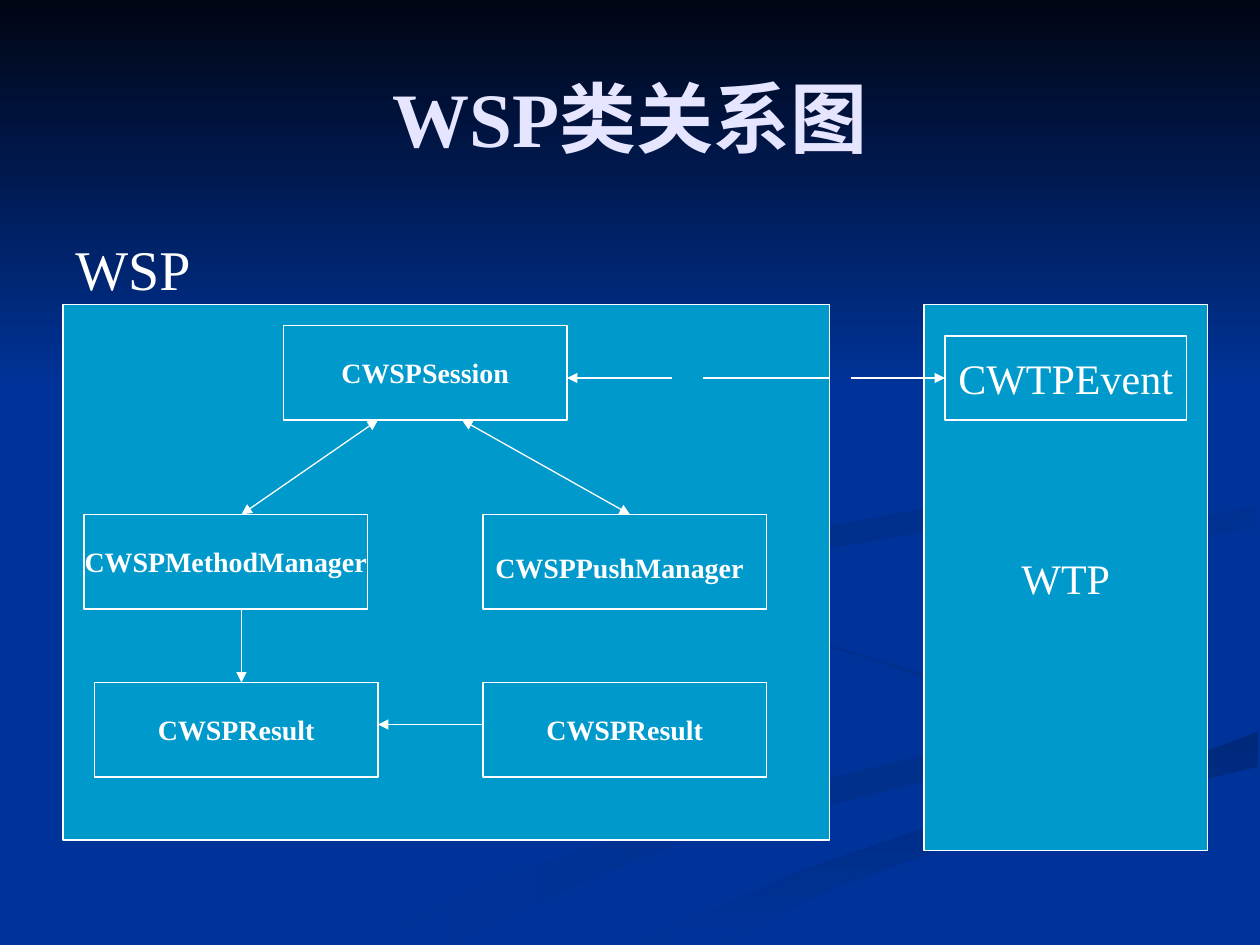
from pptx import Presentation
from pptx import util as u
from pptx.dml.color import RGBColor
from pptx.enum import shapes, text
from pptx.oxml.ns import qn
from lxml import etree

Pt = u.Pt
FONT = "Times New Roman"
WHITE, BLUE, CYAN = "FFFFFF", "003399", "0099CC"
rgb = RGBColor.from_string


def set_text(sp, txt, size=16, bold=True, color=WHITE, align=text.PP_ALIGN.CENTER,
             anchor=text.MSO_ANCHOR.MIDDLE, wrap=False):
    tf = sp.text_frame
    tf.word_wrap = wrap
    tf.vertical_anchor = anchor
    p = tf.paragraphs[0]
    p.alignment = align
    r = p.add_run()
    r.text = txt
    r.font.name, r.font.size, r.font.bold = FONT, Pt(size), bold
    r.font.color.rgb = rgb(color)


def set_gradient(sp, start, end, angle):
    """Fill without outline; angle runs clockwise from left-to-right."""
    sp.shadow.inherit = False
    sp.line.fill.background()
    sp.fill.gradient()
    sp.fill.gradient_angle = (360 - angle) % 360
    for stop, color in zip(sp.fill.gradient_stops, (start, end)):
        stop.color.rgb = rgb(color)


prs = Presentation()
prs.slide_width, prs.slide_height = Pt(720), Pt(540)
s = prs.slides.add_slide(prs.slide_layouts[6])
s.background.fill.solid()
s.background.fill.fore_color.rgb = rgb(BLUE)

# Background ribbons: start colour, end colour, angle, outline
ribbons = [
    ("002E8A", BLUE, 180, [
        (562, 398), (535, 387), (491, 374), (451, 361), (423, 346), (414, 330),
        (411, 337), (422, 351), (454, 364), (502, 378), (541, 392), (559, 400),
        (565, 405), (564, 413), (552, 423), (523, 433), (469, 446), (388, 467),
        (300, 497), (243, 523), (216, 539), (260, 539), (310, 514), (383, 483),
        (449, 466), (533, 445), (566, 433), (576, 418), (573, 408)]),
    ("00297C", BLUE, 90, [
        (374, 538), (362, 539), (411, 539), (442, 523), (482, 505), (541, 484),
        (620, 461), (719, 438), (719, 418), (693, 428), (650, 439), (550, 466),
        (454, 499), (391, 528)]),
    (BLUE, "002C85", 225, [
        (562, 331), (563, 338), (574, 348), (595, 357), (580, 345), (582, 335),
        (607, 323), (645, 313), (719, 302), (719, 289), (671, 298), (623, 305),
        (583, 315), (566, 326)]),
    (BLUE, "002B81", 225, [
        (492, 310), (550, 300), (594, 289), (624, 276), (640, 261), (643, 241),
        (634, 221), (607, 198), (575, 180), (549, 168), (594, 192), (625, 215),
        (639, 236), (638, 251), (626, 263), (598, 275), (549, 287), (467, 302),
        (430, 315), (416, 328), (416, 337), (425, 348), (448, 360), (430, 346),
        (428, 333), (442, 323), (467, 314)]),
]
for start, end, angle, pts in ribbons:
    fb = s.shapes.build_freeform(*pts[0], scale=Pt(1))
    fb.add_line_segments(pts[1:], close=True)
    set_gradient(fb.convert_to_shape(), start, end, angle)

sky = s.shapes.add_shape(shapes.MSO_SHAPE.RECTANGLE, 0, 0, Pt(720), Pt(222))
set_gradient(sky, "000514", BLUE, 90)

title = s.shapes.add_textbox(Pt(36), Pt(21.6), Pt(648), Pt(90))
set_text(title, "WSP类关系图", size=44, color="E5E5FF", wrap=True)

label = s.shapes.add_textbox(Pt(36), Pt(126), Pt(648), Pt(356))
set_text(label, "WSP", size=32, bold=False, align=text.PP_ALIGN.LEFT,
         anchor=text.MSO_ANCHOR.TOP, wrap=True)
label.text_frame.margin_top = Pt(8)

# Frames and class boxes: left, top, width, height, text, text format
W, H = 162, 54
big = dict(size=24, bold=False)
boxes = [
    (36, 174, 438, 306, "", {}),
    (162, 186, W, H, "CWSPSession", {}),
    (48, 294, W, H, "CWSPMethodManager", {}),
    (276, 294, W, H, "CWSPPushManager", {}),
    (54, 390, W, H, "CWSPResult", {}),
    (276, 390, W, H, "CWSPResult", {}),
    (528, 174, W, 312, "WTP", big),
    (540, 192, 138, 48, "CWTPEvent", big),
]
for x, y, w, h, txt, fmt in boxes:
    sp = s.shapes.add_shape(shapes.MSO_SHAPE.RECTANGLE, Pt(x), Pt(y), Pt(w), Pt(h))
    sp.shadow.inherit = False
    sp.fill.solid()
    sp.fill.fore_color.rgb = rgb(CYAN)
    sp.line.color.rgb = rgb(WHITE)
    sp.line.width = Pt(0.75)
    if txt:
        set_text(sp, txt, **fmt)
    if txt == "CWSPPushManager":
        # A larger trailing space sets the name slightly low and left
        set_text(sp, " ", **big)

# Connectors: from x, y, to x, y, arrowheads
arrows = [
    (216, 240, 138, 294, ("headEnd", "tailEnd")),
    (264, 240, 360, 294, ("headEnd", "tailEnd")),
    (138, 348, 138, 390, ("tailEnd",)),
    (276, 414, 216, 414, ("tailEnd",)),
    (402, 216, 474, 216, ()),
    (384, 216, 324, 216, ("tailEnd",)),
    (486, 216, 540, 216, ("tailEnd",)),
]
for x1, y1, x2, y2, heads in arrows:
    c = s.shapes.add_connector(shapes.MSO_CONNECTOR.STRAIGHT, Pt(x1), Pt(y1), Pt(x2), Pt(y2))
    c.line.color.rgb = rgb(WHITE)
    c.line.width = Pt(0.75)
    ln = c.line._get_or_add_ln()
    for head in heads:
        etree.SubElement(ln, qn("a:" + head), type="triangle")
    etree.SubElement(c._element.spPr, qn("a:effectLst"))

prs.save("out.pptx")
